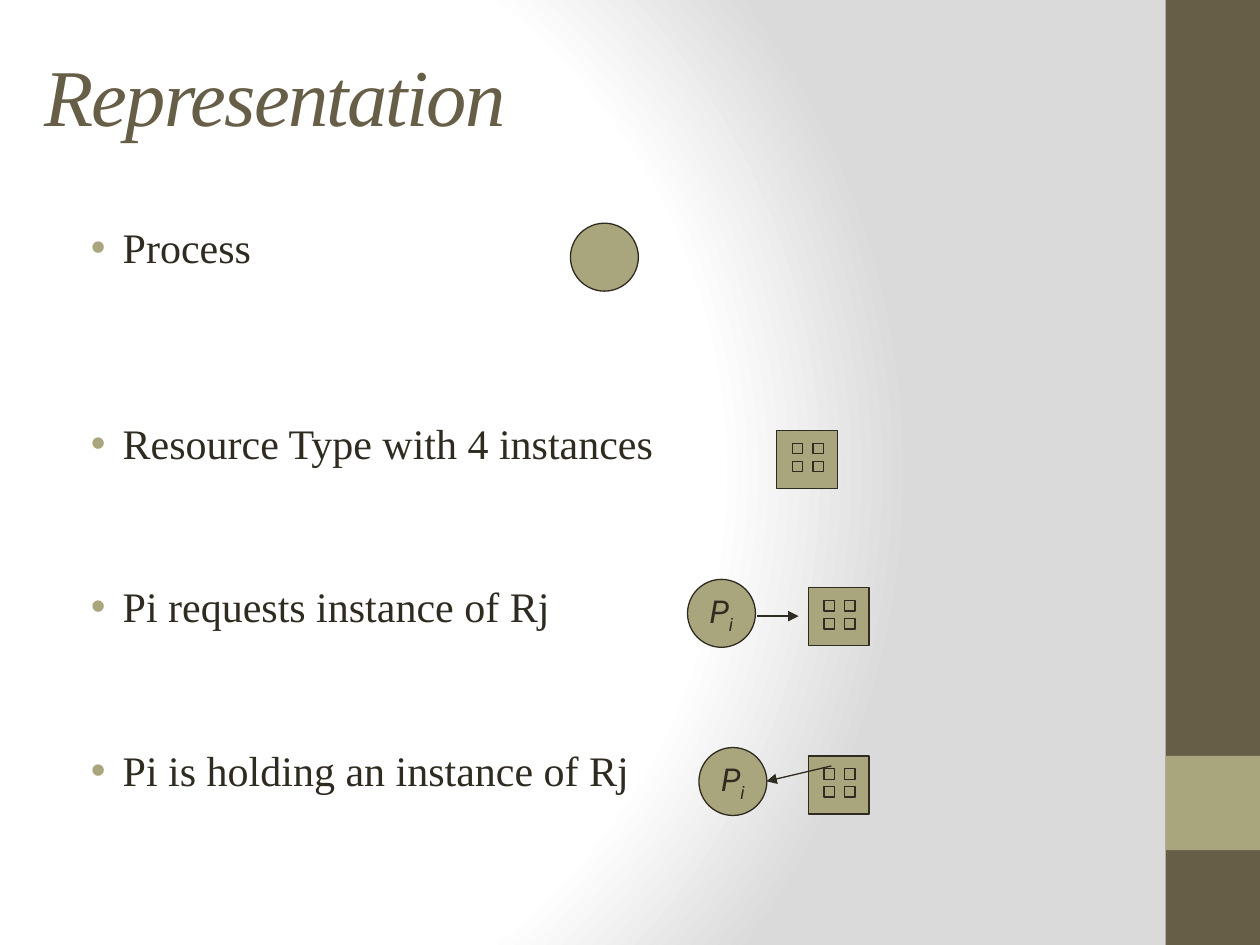
from dataclasses import dataclass
from itertools import product

from lxml import etree
from pptx import Presentation
from pptx.dml.color import RGBColor
from pptx.enum.shapes import MSO_CONNECTOR, MSO_SHAPE
from pptx.enum.text import MSO_ANCHOR, MSO_AUTO_SIZE, PP_ALIGN
from pptx.oxml import parse_xml
from pptx.oxml.ns import nsdecls, qn
from pptx.util import Cm, Pt

RECTANGLE, OVAL = MSO_SHAPE.RECTANGLE, MSO_SHAPE.OVAL
STRAIGHT = MSO_CONNECTOR.STRAIGHT
TOP, MIDDLE = MSO_ANCHOR.TOP, MSO_ANCHOR.MIDDLE
LEFT, CENTER = PP_ALIGN.LEFT, PP_ALIGN.CENTER
NO_AUTOFIT = MSO_AUTO_SIZE.NONE

BROWN, OLIVE, INK = "675E47", "A9A57C", "2F2B20"
LINE_WIDTH = 0.75
CIRCLE_SIZE = 1.37
BOX_WIDTH, BOX_HEIGHT = 1.22, 1.17
INSTANCE_SIZE = 0.21
INSTANCE_LEFTS = (0.31, 0.73)
INSTANCE_TOPS = (0.26, 0.62)

TITLE_FONT = {"name": "Times New Roman", "size": Pt(46), "italic": True, "bold": False}
BODY_FONT = {"name": "Times New Roman", "size": Pt(24)}
LABEL_FONT = {"name": "Roboto", "size": Pt(18), "italic": True}


@dataclass
class Bullet:
    """A list entry and the space above it in points."""
    text: str
    space_before: float


@dataclass
class Process:
    """A process circle, with a label and subscript if named."""
    left: float
    top: float
    label: str = ""
    subscript: str = ""


@dataclass
class Resource:
    """A resource box holding four instances."""
    left: float
    top: float


@dataclass
class Arrow:
    """An arrow from its start to its end."""
    start: tuple[float, float]
    end: tuple[float, float]


BULLETS = [
    Bullet("Process", 0),
    Bullet("Resource Type with 4 instances", 86),
    Bullet("Pi requests instance of Rj", 67.5),
    Bullet("Pi is holding an instance of Rj", 67.5),
]
RESOURCES = [Resource(15.66, 8.68), Resource(16.3, 11.85), Resource(16.3, 15.24)]
PROCESSES = [
    Process(11.5, 4.5),
    Process(13.86, 11.68, "P", "i"),
    Process(14.09, 15.07, "P", "i"),
]
ARROWS = [Arrow((15.27, 12.42), (16.1, 12.42)), Arrow((16.76, 15.44), (15.45, 15.75))]


def color(value: str) -> RGBColor:
    """Turn a hex string into a colour."""
    return RGBColor.from_string(value)


def apply_format(target, values: dict) -> None:
    """Set each named attribute on the target."""
    for name, value in values.items():
        setattr(target, name, value)


def place(shape, left: float, top: float, width: float, height: float) -> None:
    """Move and size a shape, in centimetres."""
    apply_format(shape, {"left": Cm(left), "top": Cm(top),
                         "width": Cm(width), "height": Cm(height)})


def add_run(paragraph, text: str, font: dict, hex_color: str):
    """Append a formatted run."""
    run = paragraph.add_run()
    run.text = text
    apply_format(run.font, font)
    run.font.color.rgb = color(hex_color)
    return run


def add_figure(shapes, kind, left: float, top: float, width: float, height: float,
               fill: str = OLIVE, outline: str = INK):
    """Add a filled preset shape; an empty outline means none."""
    shape = shapes.add_shape(kind, Cm(left), Cm(top), Cm(width), Cm(height))
    shape.shadow.inherit = False
    shape.fill.solid()
    shape.fill.fore_color.rgb = color(fill)
    if outline:
        shape.line.color.rgb = color(outline)
        shape.line.width = Pt(LINE_WIDTH)
    else:
        shape.line.fill.background()
    return shape


def set_background(slide) -> None:
    """Give the slide a circular white to grey gradient."""
    slide.background.fill.solid()
    stops = "".join(
        f'<a:gs pos="{position * 1000}"><a:srgbClr val="{value}"/></a:gs>'
        for position, value in ((0, "FFFFFF"), (75, "FFFFFF"), (100, "DADADA")))
    gradient = parse_xml(
        f'<a:gradFill {nsdecls("a")} rotWithShape="1"><a:gsLst>{stops}</a:gsLst>'
        '<a:path path="circle"><a:fillToRect l="20000" t="50000" r="100000" b="50000"/>'
        '</a:path></a:gradFill>')
    solid = next(slide.element.iter(qn("a:solidFill")))
    solid.getparent().replace(solid, gradient)


def write_title(title) -> None:
    """Fill the title placeholder."""
    place(title, 0.64, 0.64, 22.28, 2.54)
    apply_format(title.text_frame, {"vertical_anchor": MIDDLE, "word_wrap": True,
                                    "auto_size": NO_AUTOFIT})
    paragraph = title.text_frame.paragraphs[0]
    paragraph.alignment = LEFT
    run = add_run(paragraph, "Representation", TITLE_FONT, BROWN)
    run.font._element.set("spc", "-100")


def write_bullets(body) -> None:
    """Fill the body placeholder with the bullet list."""
    place(body, 1.27, 4.45, 21.16, 13.33)
    frame = body.text_frame
    apply_format(frame, {"vertical_anchor": TOP, "word_wrap": True,
                         "auto_size": NO_AUTOFIT})
    for index, bullet in enumerate(BULLETS):
        paragraph = frame.add_paragraph() if index else frame.paragraphs[0]
        apply_format(paragraph, {"alignment": LEFT, "line_spacing": 0.9,
                                 "space_before": Pt(bullet.space_before)})
        properties = paragraph._p.get_or_add_pPr()
        properties.set("marL", str(Cm(0.95)))
        properties.set("indent", str(Cm(-0.64)))
        bullet_color = etree.SubElement(properties, qn("a:buClr"))
        etree.SubElement(bullet_color, qn("a:srgbClr"), val=OLIVE)
        etree.SubElement(properties, qn("a:buFont"), typeface="Arial")
        etree.SubElement(properties, qn("a:buChar"), char="•")
        add_run(paragraph, bullet.text, BODY_FONT, INK)


def draw_resource(slide, resource: Resource) -> None:
    """Draw a resource box with its grid of instances as a group."""
    group = slide.shapes.add_group_shape()
    add_figure(group.shapes, RECTANGLE, resource.left, resource.top, BOX_WIDTH, BOX_HEIGHT)
    for top, left in product(INSTANCE_TOPS, INSTANCE_LEFTS):
        add_figure(group.shapes, RECTANGLE, resource.left + left, resource.top + top,
                   INSTANCE_SIZE, INSTANCE_SIZE)


def draw_process(slide, process: Process) -> None:
    """Draw a process circle and its label."""
    circle = add_figure(slide.shapes, OVAL, process.left, process.top,
                        CIRCLE_SIZE, CIRCLE_SIZE)
    if process.label:
        apply_format(circle.text_frame, {"vertical_anchor": MIDDLE, "word_wrap": False})
        paragraph = circle.text_frame.paragraphs[0]
        paragraph.alignment = CENTER
        add_run(paragraph, process.label, LABEL_FONT, INK)
        subscript = add_run(paragraph, process.subscript, LABEL_FONT, INK)
        subscript.font._element.set("baseline", "-25000")


def draw_arrow(slide, arrow: Arrow) -> None:
    """Draw a thin arrow with a triangular head."""
    points = [Cm(value) for value in arrow.start + arrow.end]
    connector = slide.shapes.add_connector(STRAIGHT, *points)
    connector.line.color.rgb = color(INK)
    connector.line.width = Pt(LINE_WIDTH)
    etree.SubElement(connector.line._get_or_add_ln(), qn("a:tailEnd"), type="triangle")
    etree.SubElement(connector._element.spPr, qn("a:effectLst"))


presentation = Presentation()
presentation.slide_width, presentation.slide_height = Cm(25.4), Cm(19.05)
slide = presentation.slides.add_slide(presentation.slide_layouts[1])
set_background(slide)
add_figure(slide.shapes, RECTANGLE, 23.5, 0, 1.9, 19.05, BROWN, "")
add_figure(slide.shapes, RECTANGLE, 23.5, 15.24, 1.9, 1.9, OLIVE, "")
write_title(slide.shapes.title)
write_bullets(slide.placeholders[1])
for resource in RESOURCES:
    draw_resource(slide, resource)
for process in PROCESSES:
    draw_process(slide, process)
for arrow in ARROWS:
    draw_arrow(slide, arrow)
presentation.save("out.pptx")
